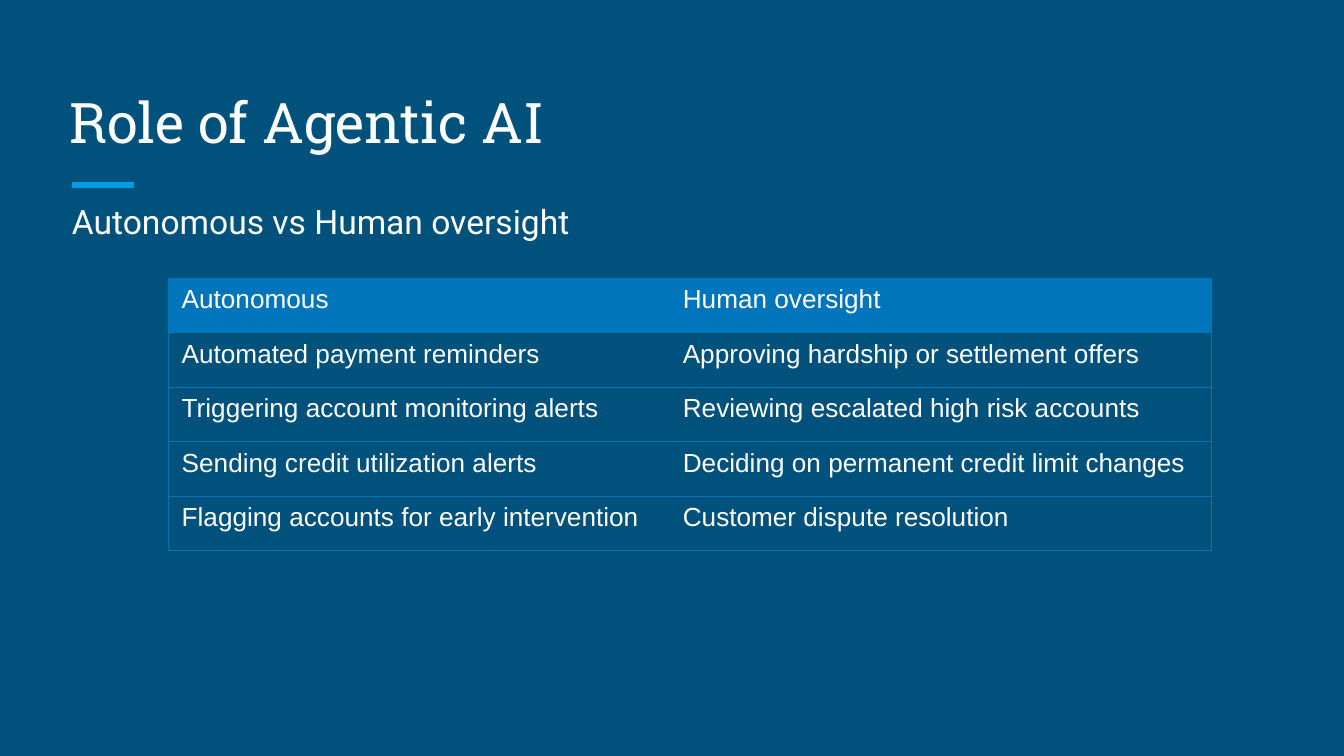
from lxml import etree
from pptx import Presentation
from pptx.dml.color import RGBColor
from pptx.enum.shapes import MSO_CONNECTOR
from pptx.enum.text import MSO_ANCHOR
from pptx.oxml.ns import qn
from pptx.util import Cm, Pt

STRAIGHT = MSO_CONNECTOR.STRAIGHT
TOP, BOTTOM = MSO_ANCHOR.TOP, MSO_ANCHOR.BOTTOM
NAVY, BLUE, ACCENT, WHITE = "00517C", "0075BB", "039BE5", "FFFFFF"
NO_GRID_STYLE = "{2D5ABB26-0587-4C30-8999-92F81FD0307C}"
ROWS = [
    ("Autonomous", "Human oversight"),
    ("Automated payment reminders", "Approving hardship or settlement offers"),
    ("Triggering account monitoring alerts", "Reviewing escalated high risk accounts"),
    ("Sending credit utilization alerts", "Deciding on permanent credit limit changes"),
    ("Flagging accounts for early intervention", "Customer dispute resolution"),
]
COLUMN_WIDTHS = (9.47, 10.24)
ROW_HEIGHT = 1.03


def color(value):
    """Return the colour for a hex string."""
    return RGBColor.from_string(value)


def set_text(tf, text, size, font):
    """Write one white paragraph and return it."""
    tf.text = text
    p = tf.paragraphs[0]
    r = p.runs[0]
    r.font.size = Pt(size)
    r.font.name = font
    r.font.color.rgb = color(WHITE)
    return p


def add_text(s, box, text, size, font, anchor=TOP, left_margin=0.25):
    """Add a wrapping text box and return its paragraph."""
    tf = s.shapes.add_textbox(*map(Cm, box)).text_frame
    tf.word_wrap = True
    tf.vertical_anchor = anchor
    tf.margin_left = Cm(left_margin)
    tf.margin_right = tf.margin_top = tf.margin_bottom = Cm(0.25)
    return set_text(tf, text, size, font)


def add_rule(s, x1, x2, y):
    """Add the short accent line under the title."""
    line = s.shapes.add_connector(STRAIGHT, Cm(x1), Cm(y), Cm(x2), Cm(y))
    line.line.color.rgb = color(ACCENT)
    line.line.width = Pt(3)
    etree.SubElement(line._element.spPr, qn("a:effectLst"))


def set_borders(cell, sides):
    """Draw thin blue borders on the given sides, in L, R, T, B order."""
    tc_pr = cell._tc.get_or_add_tcPr()
    for i, side in enumerate(sides):
        ln = etree.Element(qn(f"a:ln{side}"), w=str(Pt(0.75)))
        fill = etree.SubElement(ln, qn("a:solidFill"))
        etree.SubElement(fill, qn("a:srgbClr"), val=BLUE)
        tc_pr.insert(i, ln)


def add_table(s, left, top):
    """Add the comparison table with a filled header row."""
    width, height = sum(COLUMN_WIDTHS), ROW_HEIGHT * len(ROWS)
    frame = s.shapes.add_table(len(ROWS), len(COLUMN_WIDTHS),
                               Cm(left), Cm(top), Cm(width), Cm(height))
    table = frame.table
    table._tbl.tblPr.find(qn("a:tableStyleId")).text = NO_GRID_STYLE
    for column, column_width in zip(table.columns, COLUMN_WIDTHS):
        column.width = Cm(column_width)
    for i, texts in enumerate(ROWS):
        table.rows[i].height = Cm(ROW_HEIGHT)
        for j, text in enumerate(texts):
            cell = table.cell(i, j)
            set_text(cell.text_frame, text, 14, "Arial")
            if i == 0:
                cell.fill.solid()
                cell.fill.fore_color.rgb = color(BLUE)
            else:
                cell.fill.background()
            set_borders(cell, "LTB" if j == 0 else "RTB")


def main():
    """Build and save the slide."""
    prs = Presentation()
    prs.slide_width, prs.slide_height = Cm(25.4), Cm(14.29)
    s = prs.slides.add_slide(prs.slide_layouts[6])
    s.background.fill.solid()
    s.background.fill.fore_color.rgb = color(NAVY)
    add_rule(s, 1.37, 2.54, 3.5)
    add_text(s, (1.07, 1.27, 23.24, 1.9), "Role of Agentic AI", 30, "Roboto Slab", BOTTOM)
    p = add_text(s, (0.79, 3.43, 23.52, 1.3), "Autonomous vs Human oversight",
                 18, "Roboto", left_margin=0.57)
    p.line_spacing = 1.15
    add_table(s, 3.18, 5.26)
    prs.save("out.pptx")


if __name__ == "__main__":
    main()
